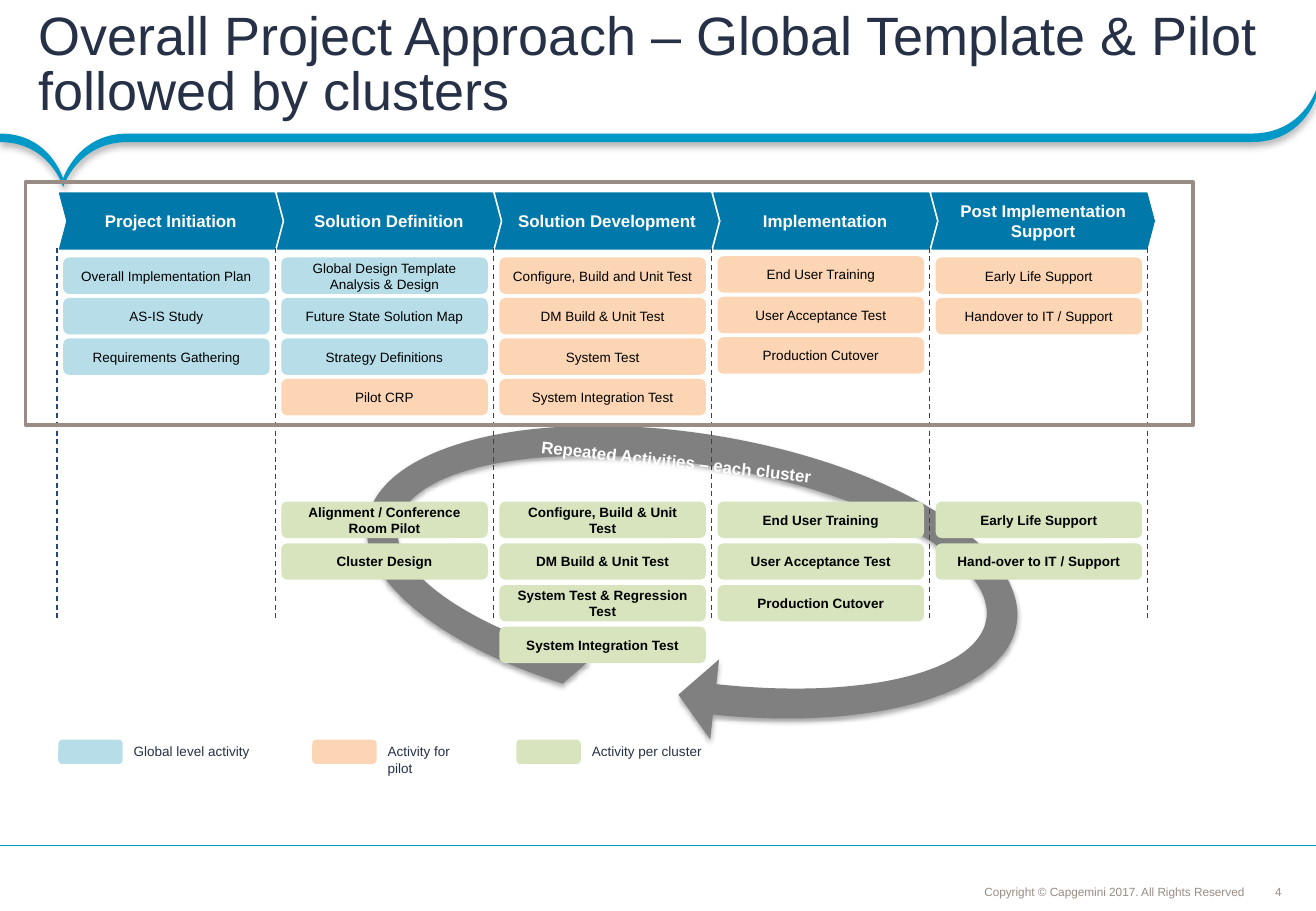
from lxml.etree import Element, SubElement
from pptx import Presentation
from pptx.dml.color import RGBColor
from pptx.enum.dml import MSO_LINE
from pptx.enum.shapes import MSO_CONNECTOR, MSO_SHAPE as SHAPE
from pptx.enum.text import MSO_ANCHOR as ANCHOR, MSO_AUTO_SIZE as FIT, PP_ALIGN as ALIGN
from pptx.oxml.ns import qn
from pptx.util import Inches, Pt

WHITE = RGBColor(0xFF, 0xFF, 0xFF)
BLACK = RGBColor(0x00, 0x00, 0x00)
INK = RGBColor(0x26, 0x31, 0x47)
TAUPE = RGBColor(0x99, 0x8C, 0x85)
CYAN = RGBColor(0x00, 0x98, 0xC7)
BLUE = RGBColor(0x00, 0x78, 0xA9)
NAVY = RGBColor(0x1F, 0x49, 0x7D)
GREY = RGBColor(0x80, 0x80, 0x80)
GLOBAL = RGBColor(0xB7, 0xDE, 0xE8)
PILOT = RGBColor(0xFC, 0xD5, 0xB5)
CLUSTER = RGBColor(0xD7, 0xE4, 0xBD)

WIDTH = 10.83
COLUMN_PITCH = 7.18 / 4
PILOT_PITCH = 1 / 3
CLUSTER_TOP, CLUSTER_PITCH = 4.13, 1.03 / 3
SNUG = (0.09, 0.04, 0.09, 0.04)
ROOMY = (0.1, 0.05, 0.1, 0.05)

PHASES = [
    (["Project Initiation"], 2.12,
     [("Overall Implementation Plan", GLOBAL), ("AS-IS Study", GLOBAL),
      ("Requirements Gathering", GLOBAL)],
     []),
    (["Solution Definition"], 2.12,
     [("Global Design Template Analysis & Design", GLOBAL),
      ("Future State Solution Map", GLOBAL),
      ("Strategy Definitions", GLOBAL), ("Pilot CRP", PILOT)],
     ["Alignment / Conference Room Pilot", "Cluster Design"]),
    (["Solution Development"], 2.12,
     [("Configure, Build and Unit Test", PILOT), ("DM Build & Unit Test", PILOT),
      ("System Test", PILOT), ("System Integration Test", PILOT)],
     ["Configure, Build & Unit Test", "DM Build & Unit Test",
      "System Test & Regression Test", "System Integration Test"]),
    (["Implementation"], 2.11,
     [("End User Training", PILOT), ("User Acceptance Test", PILOT),
      ("Production Cutover", PILOT)],
     ["End User Training", "User Acceptance Test", "Production Cutover"]),
    (["Post Implementation", "Support"], 2.12,
     [("Early Life Support", PILOT), ("Handover to IT / Support", PILOT)],
     ["Early Life Support", "Hand-over to IT / Support"]),
]
LEGEND = [
    (0.48, 1.14, "Global level activity", GLOBAL),
    (2.57, 0.93, "Activity for pilot", PILOT),
    (4.25, 1.09, "Activity per cluster", CLUSTER),
]


def write(shape, lines, size, color, bold=False, align=ALIGN.CENTER,
          anchor=ANCHOR.MIDDLE, insets=SNUG, wrap=True, spacing=None):
    """Fill a shape with one paragraph per line."""
    frame = shape.text_frame
    frame.word_wrap = wrap
    frame.vertical_anchor = anchor
    (frame.margin_left, frame.margin_top,
     frame.margin_right, frame.margin_bottom) = map(Inches, insets)
    for index, line in enumerate(lines):
        para = frame.add_paragraph() if index else frame.paragraphs[0]
        para.alignment = align
        if spacing:
            para.line_spacing = spacing
        span = para.add_run()
        span.text = line
        span.font.name = "Arial"
        span.font.size = Pt(size)
        span.font.bold = bold
        span.font.color.rgb = color


def add_label(page, place, text, size, color, **style):
    """Add a text box with one paragraph."""
    box = page.shapes.add_textbox(*map(Inches, place))
    write(box, [text], size, color, **style)
    return box


def paint(shape, fill):
    """Give a shape a plain fill without outline or shadow."""
    shape.shadow.inherit = False
    shape.fill.solid()
    shape.fill.fore_color.rgb = fill
    shape.line.fill.background()


def add_block(page, kind, place, fill):
    """Add a plain filled preset shape."""
    block = page.shapes.add_shape(kind, *map(Inches, place))
    paint(block, fill)
    return block


def add_rule(page, start, end, color, dash=None):
    """Add a thin straight line."""
    rule = page.shapes.add_connector(
        MSO_CONNECTOR.STRAIGHT, *map(Inches, (*start, *end)))
    rule.line.color.rgb = color
    rule.line.width = Pt(0.75)
    if dash:
        rule.line.dash_style = dash
    SubElement(rule.element.spPr, qn("a:effectLst"))


def drop_shadow(shape, opacity, blur, distance):
    """Cast a soft black shadow straight down."""
    effects = shape.element.spPr.find(qn("a:effectLst"))
    shadow = SubElement(effects, qn("a:outerShdw"), blurRad=str(Pt(blur)),
                        dist=str(Pt(distance)), dir="5400000", rotWithShape="0")
    black = SubElement(shadow, qn("a:srgbClr"), val="000000")
    SubElement(black, qn("a:alpha"), val=str(opacity * 1000))


def bend(shape, controls):
    """Turn each straight segment into a cubic curve with two control points."""
    segments = list(shape.element.spPr.iter(qn("a:lnTo")))
    for segment, pair in zip(segments, controls):
        segment.tag = qn("a:cubicBezTo")
        for index, (x, y) in enumerate(pair):
            segment.insert(index, Element(
                qn("a:pt"), x=str(Inches(x) - shape.left), y=str(Inches(y) - shape.top)))


def add_header_band(page):
    """Draw the curved band with its notch below the title."""
    corner, right, left = (WIDTH, 0.74), (10.3, 1.1), (1.05, 1.1)
    tip, edge = (0.52, 1.47), (0, 1.1)
    upper = [corner, corner, (10.72, 1.1), right, right, left, left,
             (0.64, 1.1), tip, tip, tip, (0.41, 1.1), edge]
    lower = [(x, y + 0.07) for x, y in reversed(upper)]
    outline = upper + [edge, lower[0]] + lower
    corners = [(Inches(x), Inches(y)) for x, y in outline[::3]]
    builder = page.shapes.build_freeform(*corners[0])
    builder.add_line_segments(corners[1:], close=True)
    band = builder.convert_to_shape()
    bend(band, zip(outline[1::3], outline[2::3]))
    paint(band, CYAN)
    drop_shadow(band, 31, 4, 2)


def add_cycle_arrow(page):
    """Draw the large arrow that circles the cluster activities."""
    arrow = add_block(page, SHAPE.CIRCULAR_ARROW, (4.35, 1.8, 2.69, 5.82), GREY)
    arrow.rotation = 99.1
    for index, value in enumerate((0.094, 9.856, 204.494, 24.084, 0.123)):
        arrow.adjustments[index] = value
    drop_shadow(arrow, 35, 3.1, 1.8)


def add_activity(page, left, top, text, fill, **style):
    """Add one rounded activity box."""
    box = add_block(page, SHAPE.ROUNDED_RECTANGLE, (left, top, 1.7, 0.3), fill)
    write(box, [text], 8, BLACK, **style)


def add_phase(page, column, heading, top, activities, repeated):
    """Add a phase chevron with its activity boxes."""
    shift = column * COLUMN_PITCH
    chevron = add_block(page, SHAPE.CHEVRON, (0.49 + shift, 1.59, 1.83, 0.46), BLUE)
    chevron.adjustments[0] = 0.133
    chevron.line.color.rgb = BLUE
    chevron.line.width = Pt(0.75)
    write(chevron, heading, 10, WHITE, bold=True, insets=ROOMY, wrap=False)
    left = 0.52 + shift
    for row, (text, fill) in enumerate(activities):
        add_activity(page, left, top + row * PILOT_PITCH, text, fill)
    for row, text in enumerate(repeated):
        add_activity(page, left, CLUSTER_TOP + row * CLUSTER_PITCH, text, CLUSTER,
                     bold=True, insets=ROOMY)


def main():
    """Build the slide and save it."""
    deck = Presentation()
    deck.slide_width, deck.slide_height = Inches(WIDTH), Inches(7.5)
    page = deck.slides.add_slide(deck.slide_layouts[6])

    add_header_band(page)
    add_label(page, (10.46, 7.28, 0.12, 0.12), "4", 7, TAUPE,
              insets=(0, 0, 0, 0), wrap=False)
    add_label(page, (7.37, 7.24, 2.91, 0.2),
              "Copyright © Capgemini 2017. All Rights Reserved", 7, TAUPE,
              align=ALIGN.RIGHT, anchor=ANCHOR.BOTTOM,
              insets=(0.04, 0.04, 0.04, 0.04), spacing=0.9)
    add_rule(page, (WIDTH, 6.96), (0, 6.96), CYAN)
    add_label(page, (0, 0, WIDTH, 1.1),
              "Overall Project Approach – Global Template & Pilot followed by clusters",
              32, INK, align=ALIGN.LEFT, insets=(0.32, 0.04, 0.18, 0.04), spacing=0.85)

    add_cycle_arrow(page)
    for left, width, text, fill in LEGEND:
        add_block(page, SHAPE.ROUNDED_RECTANGLE, (left, 6.09, 0.53, 0.2), fill)
        label = add_label(page, (left + 0.53, 6.08, width, 0.22), text, 8, INK,
                          align=ALIGN.LEFT, anchor=ANCHOR.TOP, wrap=False)
        label.text_frame.auto_size = FIT.SHAPE_TO_FIT_TEXT
    for column, phase in enumerate(PHASES):
        add_phase(page, column, *phase)
    for column in range(len(PHASES) + 1):
        x = 0.47 + column * COLUMN_PITCH
        add_rule(page, (x, 2.04), (x, 5.1), NAVY, MSO_LINE.DASH)
    caption = add_label(page, (3.38, 3.67, 4.24, 1.45),
                        "Repeated Activities – each cluster", 10, WHITE,
                        bold=True, anchor=ANCHOR.TOP, wrap=False)
    caption.rotation = 6.3

    border = add_block(page, SHAPE.RECTANGLE, (0.21, 1.5, 9.61, 2), WHITE)
    border.fill.background()
    border.line.color.rgb = TAUPE
    border.line.width = Pt(2)
    deck.save("out.pptx")


if __name__ == "__main__":
    main()
